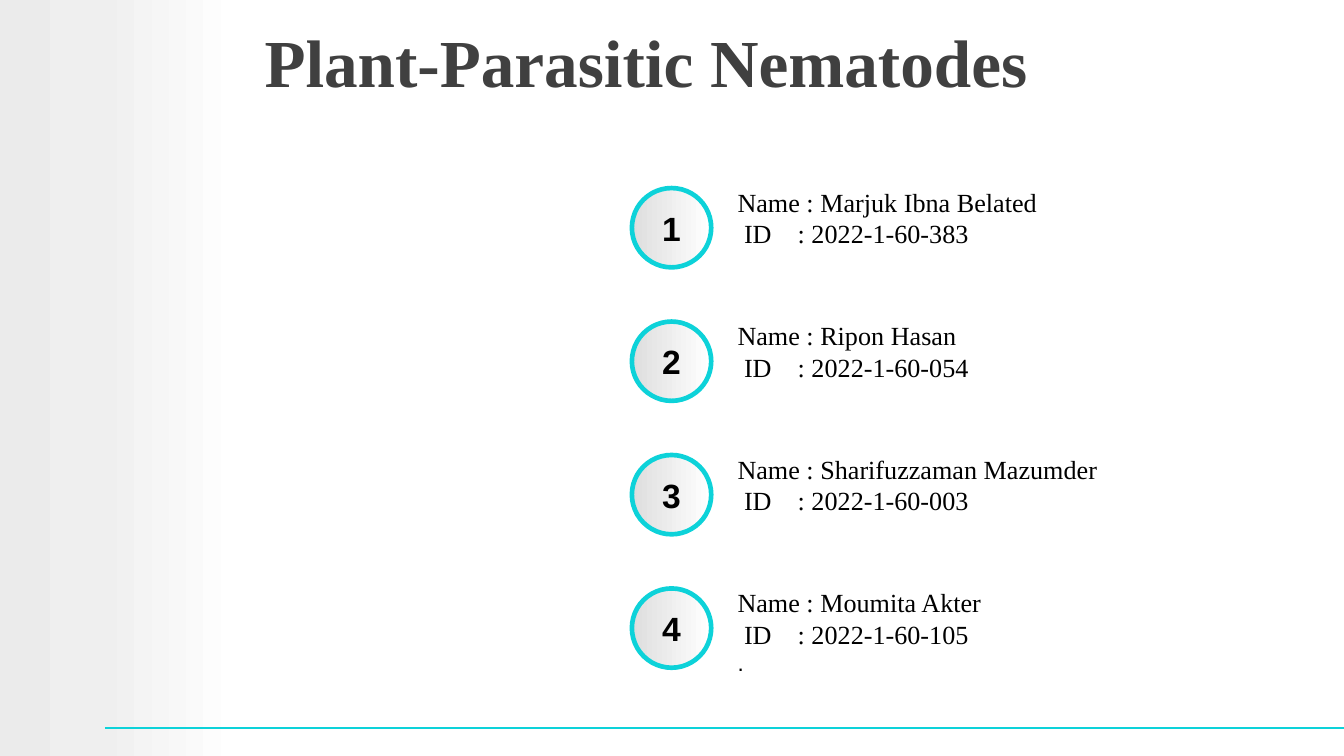
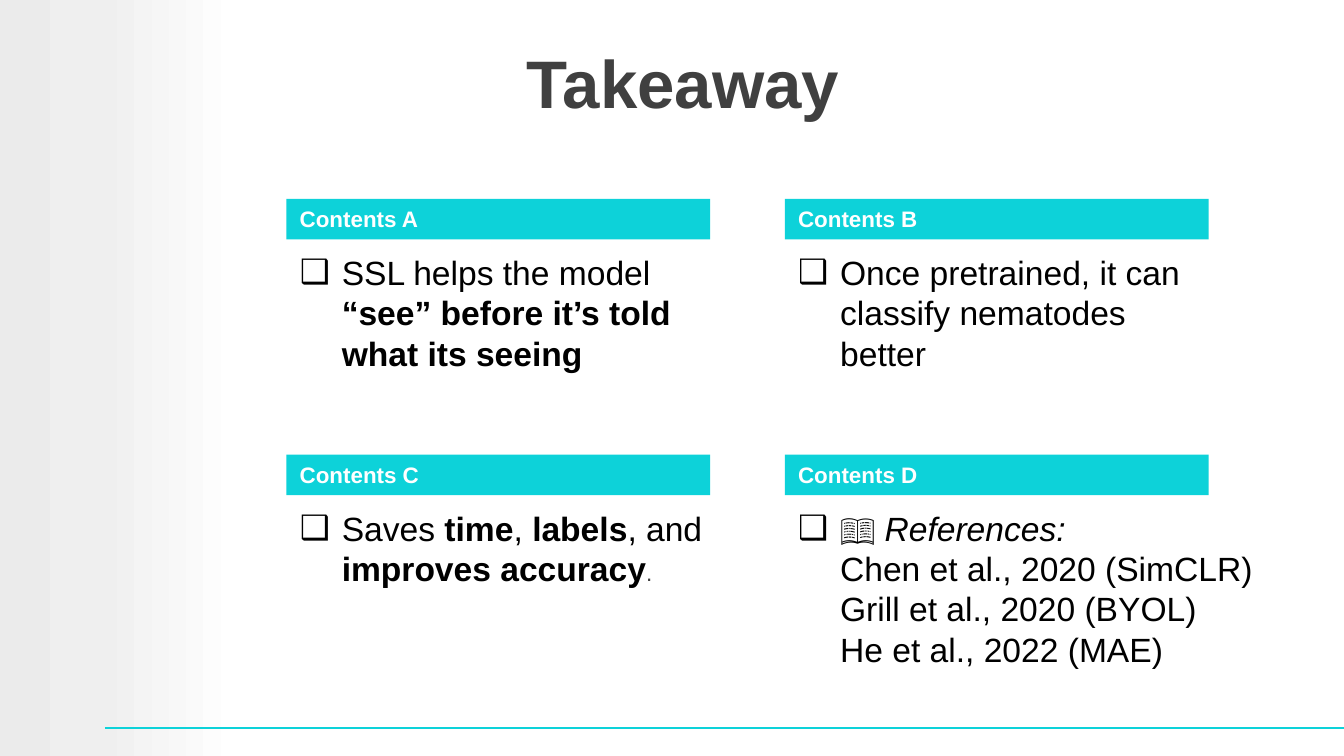
from lxml.etree import SubElement
from pptx import Presentation
from pptx.dml.color import RGBColor
from pptx.enum.shapes import MSO_CONNECTOR, MSO_SHAPE
from pptx.enum.text import MSO_ANCHOR, MSO_AUTO_SIZE, PP_ALIGN
from pptx.oxml.ns import qn
from pptx.util import Pt

COLORS = {
    "accent": "0DD2D9",
    "title": "404040",
    "text": "000000",
    "white": "FFFFFF",
    "band": "EBEBEB",
    "band_middle": "EFEFEF",
    "badge": "DEDEDE",
}
SANS, SERIF = "Arial", "Times New Roman"
WIDTH, HEIGHT = 720, 405


def color(name):
    return RGBColor.from_string(COLORS[name])


def add_text(para, text, size=18, font=SANS, tint="text", bold=False, italic=False):
    """Add text to a paragraph; each newline becomes a line break."""
    for number, line in enumerate(text.split("\n")):
        if number:
            para.add_line_break()
        if line:
            span = para.add_run()
            span.text = line
            span.font.name = font
            span.font.size = Pt(size)
            span.font.bold = bold
            span.font.italic = italic
            span.font.color.rgb = color(tint)


class SlideBuilder:
    def __init__(self):
        self.deck = Presentation()
        self.deck.slide_width, self.deck.slide_height = Pt(WIDTH), Pt(HEIGHT)
        self.layout = self.deck.slide_layouts[5]
        self.page = None

    def new_page(self):
        self.page = self.deck.slides.add_slide(self.layout)

    def prepare_frame(self, box, anchor):
        frame = box.text_frame
        frame.word_wrap = True
        frame.auto_size = MSO_AUTO_SIZE.NONE
        frame.vertical_anchor = anchor
        return frame

    def title(self, left, top, width, spans):
        box = self.page.shapes.title
        box.left, box.top, box.width, box.height = Pt(left), Pt(top), Pt(width), Pt(61)
        para = self.prepare_frame(box, MSO_ANCHOR.MIDDLE).paragraphs[0]
        para.alignment = PP_ALIGN.LEFT
        for text, style in spans:
            add_text(para, text, **{"size": 36, "tint": "title", "bold": True, **style})

    def text_box(self, left, top, width, height, paragraphs,
                 align=PP_ALIGN.LEFT, anchor=MSO_ANCHOR.TOP):
        """Each paragraph is a list of (text, style) pairs."""
        box = self.page.shapes.add_textbox(Pt(left), Pt(top), Pt(width), Pt(height))
        return self.fill_text(box, paragraphs, align, anchor)

    def fill_text(self, box, paragraphs, align=PP_ALIGN.LEFT, anchor=MSO_ANCHOR.TOP):
        frame = self.prepare_frame(box, anchor)
        for number, spans in enumerate(paragraphs):
            para = frame.add_paragraph() if number else frame.paragraphs[0]
            para.alignment = align
            for text, style in spans:
                add_text(para, text, **style)
        return frame

    def shape(self, kind, left, top, width, height, fill, outline=None):
        """A single fill name is solid; a list of (position, name) is a gradient."""
        shape = self.page.shapes.add_shape(kind, Pt(left), Pt(top), Pt(width), Pt(height))
        shape.shadow.inherit = False
        if isinstance(fill, str):
            shape.fill.solid()
            shape.fill.fore_color.rgb = color(fill)
        else:
            shape.fill.gradient()
            shape.fill.gradient_angle = 0
            stops = shape.element.spPr.find(qn("a:gradFill")).find(qn("a:gsLst"))
            for stop in list(stops):
                stops.remove(stop)
            for position, name in fill:
                stop = SubElement(stops, qn("a:gs"), pos=str(position * 1000))
                SubElement(stop, qn("a:srgbClr"), val=COLORS[name])
        if outline:
            shape.line.color.rgb = color(outline)
            shape.line.width = Pt(2.5)
        else:
            shape.line.fill.background()
        return shape

    def rule(self, left, right, top):
        line = self.page.shapes.add_connector(
            MSO_CONNECTOR.STRAIGHT, Pt(left), Pt(top), Pt(right), Pt(top))
        line.line.color.rgb = color("accent")
        line.line.width = Pt(1)
        SubElement(line.element.spPr, qn("a:effectLst"))
        return line

    def move_to_master(self, shapes):
        """Place shapes at the back of the master, so every page shows them."""
        tree = self.deck.slide_master.shapes.element
        for number, shape in enumerate(shapes):
            shape.element.xpath(".//p:cNvPr")[0].set("id", str(100 + number))
            tree.insert(2 + number, shape.element)

    def member(self, number, top, paragraphs):
        self.shape(MSO_SHAPE.OVAL, 338.5, top, 42.5, 42.5,
                   [(0, "badge"), (100, "white")], "accent")
        self.text_box(345.5, top + 6.75, 28.5, 29, [[(str(number), {"bold": True})]],
                      PP_ALIGN.CENTER, MSO_ANCHOR.MIDDLE)
        frame = self.text_box(388, top - 4.5, 276, 41 if len(paragraphs) == 2 else 55,
                              paragraphs)
        # Tab stop that lines up the colons of the ID rows
        properties = frame.paragraphs[1]._p.get_or_add_pPr()
        tabs = SubElement(properties, qn("a:tabLst"))
        SubElement(tabs, qn("a:tab"), pos=str(Pt(32.25)), algn="l")

    def card(self, left, top, heading, width, height, spans):
        bar = self.shape(MSO_SHAPE.RECTANGLE, left, top, 227, 21.75, "accent")
        self.fill_text(bar, [[(heading, {"size": 12, "tint": "white", "bold": True})]])
        frame = self.text_box(left, top + 25, width, height, [spans])
        properties = frame.paragraphs[0]._p.get_or_add_pPr()
        properties.set("marL", str(Pt(22.5)))
        properties.set("indent", str(-Pt(22.5)))
        SubElement(properties, qn("a:buFont"), typeface=SANS)
        SubElement(properties, qn("a:buChar"), char="❑")


def build_team(builder):
    builder.new_page()
    # Shared band and footer rule
    band = builder.shape(MSO_SHAPE.RECTANGLE, 0, 0, 127.5, HEIGHT,
                         [(0, "band"), (42, "band_middle"), (100, "white")])
    builder.move_to_master([band, builder.rule(56.25, WIDTH, 390)])

    builder.title(124.5, 2.25, 595.5, [
        (" ", {"tint": "accent"}), ("Plant-Parasitic Nematodes", {"font": SERIF})])

    # Numbered members
    members = [
        ("Marjuk Ibna Belated", "2022-1-60-383"),
        ("Ripon Hasan", "2022-1-60-054"),
        ("Sharifuzzaman Mazumder", "2022-1-60-003"),
        ("Moumita Akter", "2022-1-60-105"),
    ]
    style = {"size": 14, "font": SERIF}
    for index, (name, code) in enumerate(members):
        paragraphs = [[(f"Name : {name}", style)], [(f" ID\t: {code}", style)]]
        if index == len(members) - 1:
            paragraphs.append([(".", {"size": 12})])
        builder.member(index + 1, 100.75 + index * 71.5, paragraphs)


def build_takeaway(builder):
    builder.new_page()
    builder.title(275, 13, 263, [("Takeaway", {})])

    # Two by two cards: heading, text width, text height, spans
    plain, bold = {}, {"bold": True}
    cards = [
        ("Contents A", 234, 73, [
            ("SSL helps the model ", plain),
            ("“see” before it’s told what its seeing", bold)]),
        ("Contents B", 234, 51, [
            ("Once pretrained, it can classify nematodes better", plain)]),
        ("Contents C", 234.5, 51, [
            ("Saves ", plain), ("time", bold), (", ", plain), ("labels", bold),
            (", and ", plain), ("improves accuracy", bold),
            (".", {"size": 12, "tint": "title"})]),
        ("Contents D", 263, 94.5, [
            ("📖 ", plain), ("References:\n", {"italic": True}),
            ("Chen et al., 2020 (SimCLR)\nGrill et al., 2020 (BYOL)\n"
             "He et al., 2022 (MAE)", plain)]),
    ]
    for index, (heading, width, height, spans) in enumerate(cards):
        row, column = divmod(index, 2)
        builder.card(153.5 + column * 267, 106.5 + row * 137, heading, width, height, spans)


def main():
    builder = SlideBuilder()
    build_team(builder)
    build_takeaway(builder)
    builder.deck.save("out.pptx")


if __name__ == "__main__":
    main()
